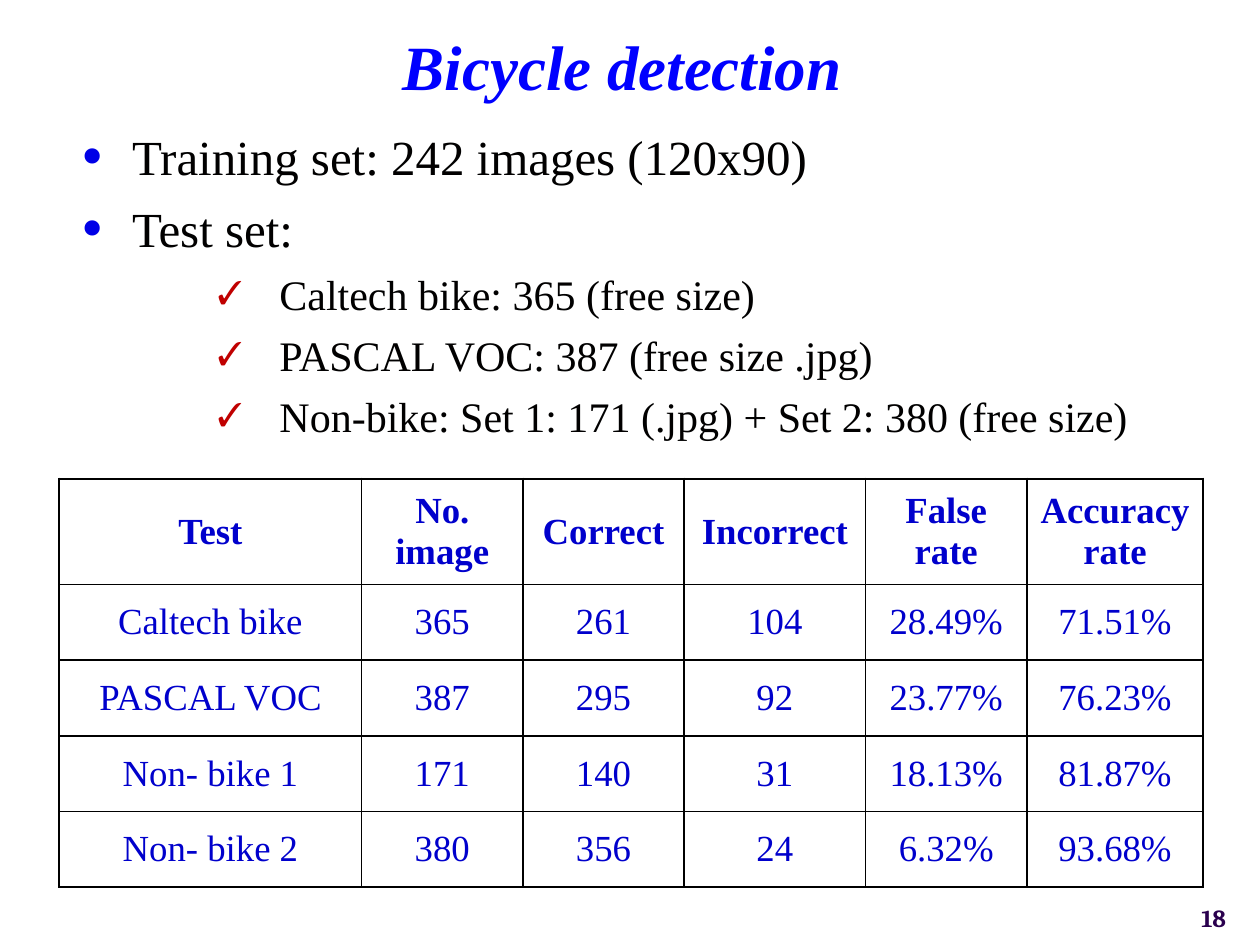
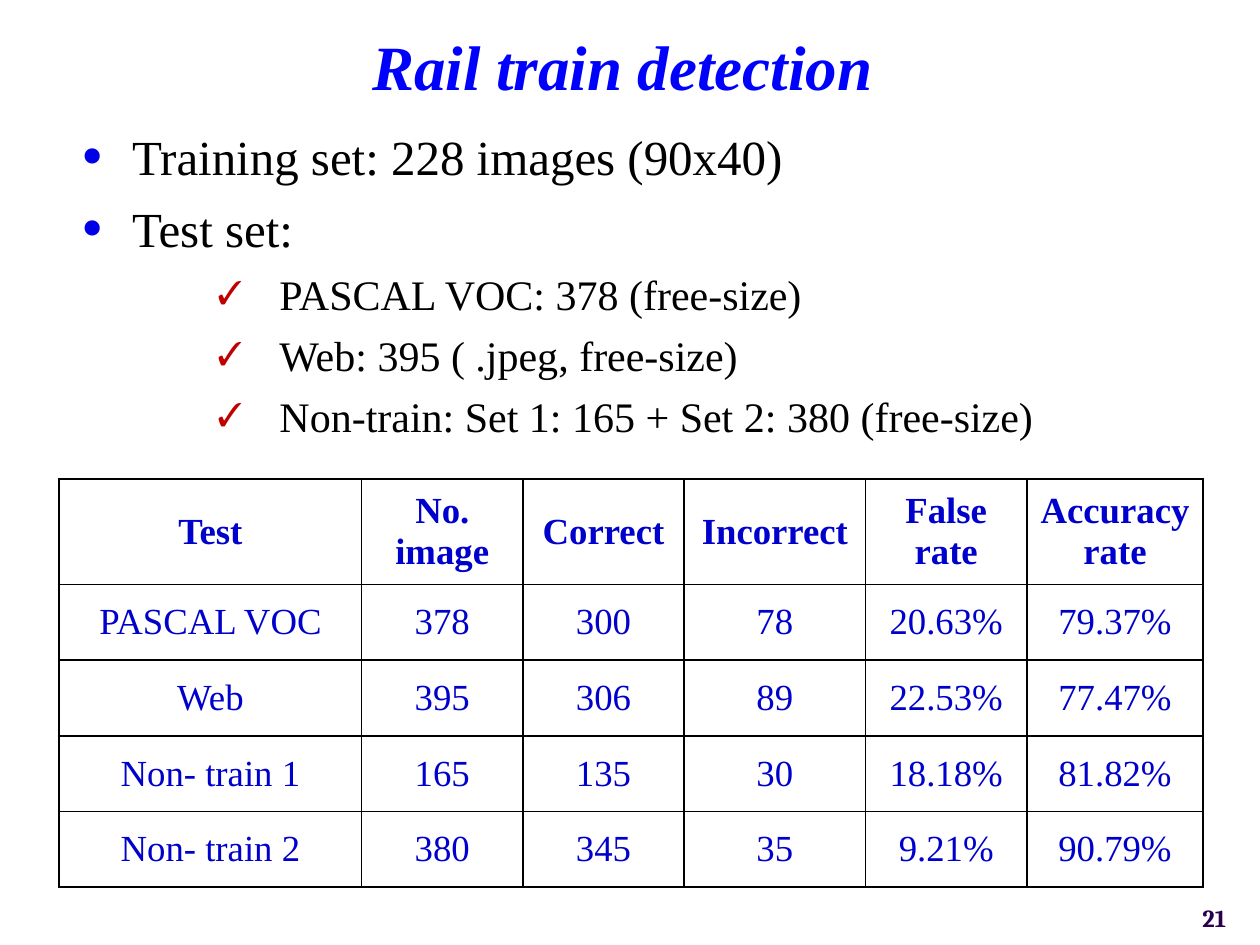
from lxml.etree import SubElement
from pptx import Presentation
from pptx.dml.color import RGBColor
from pptx.enum.text import MSO_ANCHOR as Anchor, MSO_AUTO_SIZE as AutoSize, PP_ALIGN as Align
from pptx.oxml import parse_xml
from pptx.oxml.ns import nsdecls, qn
from pptx.util import Inches, Pt

TITLE_BLUE = RGBColor(0x00, 0x00, 0xFF)
BULLET_BLUE = RGBColor(0x00, 0x00, 0xE7)
CHECK_RED = RGBColor(0xC0, 0x00, 0x00)
TABLE_BLUE = RGBColor(0x00, 0x00, 0xCC)
BODY_BLACK = RGBColor(0x01, 0x00, 0x00)
BORDER_BLACK = RGBColor(0x00, 0x00, 0x00)
NUMBER_PURPLE = RGBColor(0x2A, 0x00, 0x4E)

SERIF = "Times New Roman"
TITLE_FONT = {"name": SERIF, "size": Pt(36), "bold": True, "italic": True}
NUMBER_FONT = {"name": "Cambria", "size": Pt(14), "bold": True}
CELL_FONT = {"name": SERIF, "size": Pt(21), "bold": False}
HEADER_FONT = {**CELL_FONT, "bold": True}

# Bullet style of each outline level
LEVELS = [
    {"char": "•", "color": BULLET_BLUE, "percent": 130, "left": 0.4, "hang": 0.4,
     "size": 28, "before": 12},
    {"char": "✓", "color": CHECK_RED, "percent": 78, "left": 1.57, "hang": 0.49,
     "size": 24, "before": 6},
]

TABLE_HEADER = ["Test", "No. image", "Correct", "Incorrect", "False rate", "Accuracy rate"]
COLUMN_WIDTHS = [2.4, 1.28, 1.28, 1.44, 1.28, 1.4]
HEADER_HEIGHT, ROW_HEIGHT = 0.84, 0.6

DETECTION_SLIDES = [
    {
        "title": "Bicycle detection",
        "number": 18,
        "training": "Training set: 242 images (120x90)",
        "tests": [
            "Caltech bike: 365 (free size)",
            "PASCAL VOC: 387 (free size .jpg)",
            "Non-bike: Set 1: 171 (.jpg) + Set 2: 380 (free size)",
        ],
        "results": [
            ["Caltech bike", "365", "261", "104", "28.49%", "71.51%"],
            ["PASCAL VOC", "387", "295", "92", "23.77%", "76.23%"],
            ["Non- bike 1", "171", "140", "31", "18.13%", "81.87%"],
            ["Non- bike 2", "380", "356", "24", "6.32%", "93.68%"],
        ],
    },
    {
        "title": "Rail train detection",
        "number": 21,
        "training": "Training set: 228 images (90x40)",
        "tests": [
            "PASCAL VOC: 378 (free-size)",
            "Web: 395 ( .jpeg, free-size)",
            "Non-train: Set 1: 165 + Set 2: 380 (free-size)",
        ],
        "results": [
            ["PASCAL VOC", "378", "300", "78", "20.63%", "79.37%"],
            ["Web", "395", "306", "89", "22.53%", "77.47%"],
            ["Non- train 1", "165", "135", "30", "18.18%", "81.82%"],
            ["Non- train 2", "380", "345", "35", "9.21%", "90.79%"],
        ],
    },
]


def write(paragraph, text, font_format, color, alignment=Align.LEFT):
    paragraph.alignment = alignment
    run = paragraph.add_run()
    run.text = text
    for attribute, value in font_format.items():
        setattr(run.font, attribute, value)
    run.font.color.rgb = color


def add_title(slide, text):
    title = slide.shapes.title
    title.left, title.top = Inches(0.33), Inches(0.12)
    title.width, title.height = Inches(9.22), Inches(0.94)
    frame = title.text_frame
    frame.auto_size = AutoSize.NONE
    frame.vertical_anchor = Anchor.TOP
    frame.margin_top = Inches(0.1)
    write(frame.paragraphs[0], text, TITLE_FONT, TITLE_BLUE, Align.CENTER)


def add_bullet(paragraph, style):
    properties = paragraph._p.get_or_add_pPr()
    properties.set("marL", str(Inches(style["left"])))
    properties.set("indent", str(-Inches(style["hang"])))
    color = SubElement(properties, qn("a:buClr"))
    SubElement(color, qn("a:srgbClr"), val=str(style["color"]))
    SubElement(properties, qn("a:buSzPct"), val=str(style["percent"] * 1000))
    SubElement(properties, qn("a:buFont"), typeface=SERIF)
    SubElement(properties, qn("a:buChar"), char=style["char"])


def add_outline(slide, items):
    """Add the bulleted text; items are (level, text) pairs."""
    box = slide.shapes.add_textbox(Inches(0.55), Inches(1.02), Inches(9.14), Inches(2.5))
    frame = box.text_frame
    frame.word_wrap = True
    for index, (level, text) in enumerate(items):
        paragraph = frame.add_paragraph() if index else frame.paragraphs[0]
        style = LEVELS[level]
        add_bullet(paragraph, style)
        paragraph.level = level
        paragraph.line_spacing = Pt(29)
        paragraph.space_before = Pt(style["before"] if index else 0)
        write(paragraph, text, {"name": SERIF, "size": Pt(style["size"])}, BODY_BLACK)


def set_borders(cell, widths):
    """Draw the cell's edges; widths gives points for L, R, T and B in that order."""
    properties = cell._tc.get_or_add_tcPr()
    for position, (side, width) in enumerate(widths.items()):
        properties.insert(position, parse_xml(
            f'<a:ln{side} {nsdecls("a")} w="{Pt(width)}"><a:solidFill>'
            f'<a:srgbClr val="{BORDER_BLACK}"/></a:solidFill></a:ln{side}>'))


def add_results_table(slide, results):
    rows = [TABLE_HEADER] + results
    last_row, last_column = len(rows) - 1, len(TABLE_HEADER) - 1
    height = HEADER_HEIGHT + ROW_HEIGHT * len(results)
    table = slide.shapes.add_table(
        len(rows), len(TABLE_HEADER), Inches(0.47), Inches(3.8),
        Inches(sum(COLUMN_WIDTHS)), Inches(height)).table
    table.first_row = table.horz_banding = False
    for column, width in zip(table.columns, COLUMN_WIDTHS):
        column.width = Inches(width)
    for row_index, values in enumerate(rows):
        table.rows[row_index].height = Inches(ROW_HEIGHT if row_index else HEADER_HEIGHT)
        for column_index, value in enumerate(values):
            cell = table.cell(row_index, column_index)
            cell.fill.background()
            cell.vertical_anchor = Anchor.MIDDLE
            write(cell.text_frame.paragraphs[0], value,
                  CELL_FONT if row_index else HEADER_FONT, TABLE_BLUE, Align.CENTER)
            outer_edges = {"L": column_index == 0, "R": column_index == last_column,
                           "T": row_index == 0, "B": row_index == last_row}
            set_borders(cell, {side: 1.5 if outer else 1
                               for side, outer in outer_edges.items()})


def add_slide_number(slide, number):
    box = slide.shapes.add_textbox(Inches(9.42), Inches(7.16), Inches(0.41), Inches(0.25))
    frame = box.text_frame
    frame.word_wrap = False
    frame.vertical_anchor = Anchor.MIDDLE
    write(frame.paragraphs[0], str(number), NUMBER_FONT, NUMBER_PURPLE, Align.RIGHT)


def add_detection_slide(presentation, content):
    slide = presentation.slides.add_slide(presentation.slide_layouts[5])
    add_title(slide, content["title"])
    add_outline(slide, [(0, content["training"]), (0, "Test set:")]
                + [(1, test) for test in content["tests"]])
    add_slide_number(slide, content["number"])
    add_results_table(slide, content["results"])


def main():
    presentation = Presentation()
    presentation.slide_width, presentation.slide_height = Inches(10), Inches(7.5)
    for content in DETECTION_SLIDES:
        add_detection_slide(presentation, content)
    presentation.save("out.pptx")


if __name__ == "__main__":
    main()
